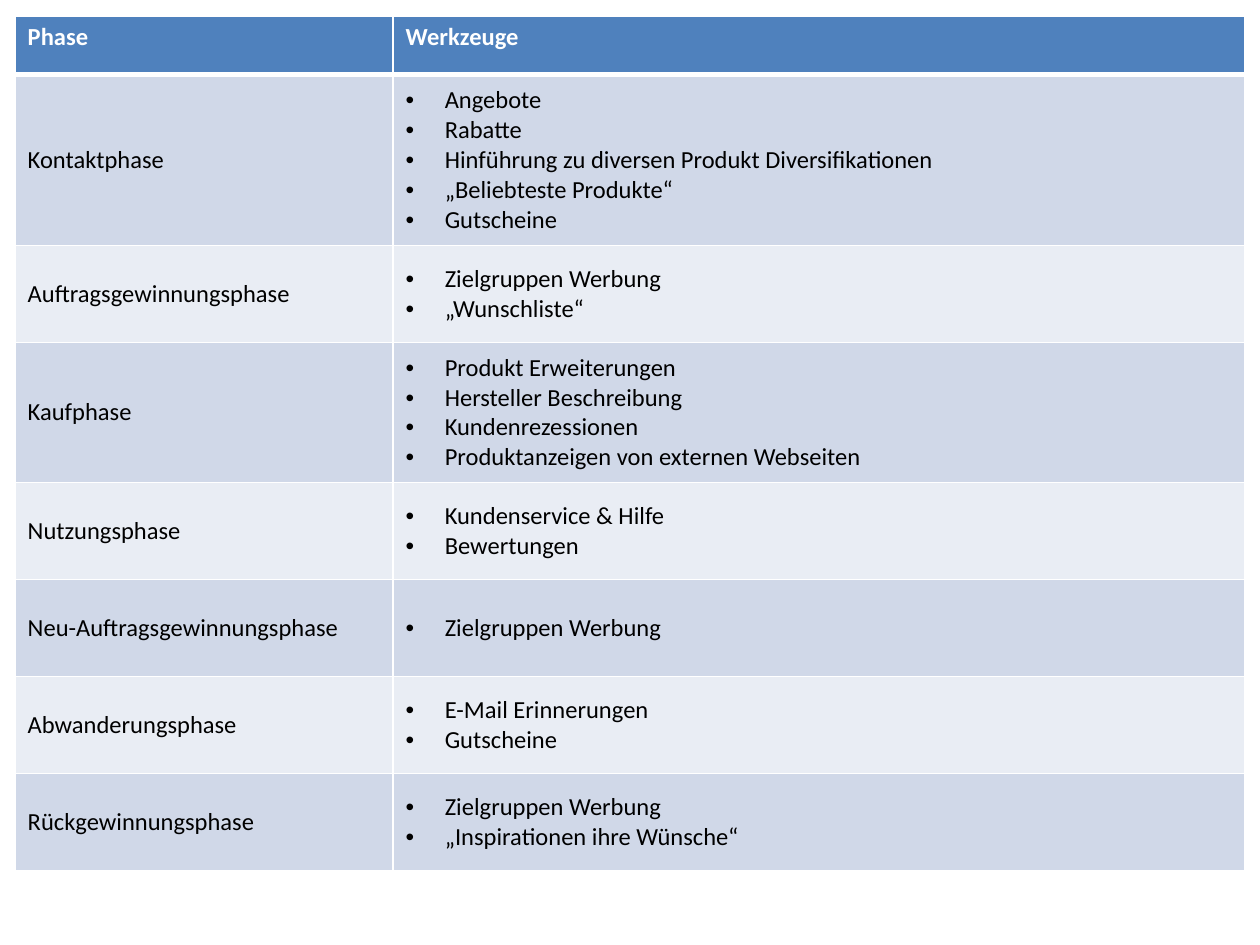
from dataclasses import dataclass

from pptx import Presentation
from pptx.dml.color import RGBColor
from pptx.enum.text import MSO_ANCHOR
from pptx.oxml.ns import qn
from pptx.util import Inches, Pt
from lxml.etree import SubElement

HEAD, DARK, LIGHT = "4F81BD", "D0D8E8", "E9EDF4"
WHITE, BLACK = "FFFFFF", "000000"
WIDTHS = (3, 6.76)
HEAD_HIGH = 0.46
INDENT = Inches(0.31)


@dataclass
class Phase:
    name: str
    tools: list[str]
    high: float = 0.77


PHASES = [
    Phase("Kontaktphase", [
        "Angebote", "Rabatte",
        "Hinführung zu diversen Produkt Diversifikationen",
        "„Beliebteste Produkte“", "Gutscheine"], 1.36),
    Phase("Auftragsgewinnungsphase", ["Zielgruppen Werbung", "„Wunschliste“"]),
    Phase("Kaufphase", [
        "Produkt Erweiterungen", "Hersteller Beschreibung",
        "Kundenrezessionen", "Produktanzeigen von externen Webseiten"], 1.11),
    Phase("Nutzungsphase", ["Kundenservice & Hilfe", "Bewertungen"]),
    Phase("Neu-Auftragsgewinnungsphase", ["Zielgruppen Werbung"]),
    Phase("Abwanderungsphase", ["E-Mail Erinnerungen", "Gutscheine"]),
    Phase("Rückgewinnungsphase", [
        "Zielgruppen Werbung", "„Inspirationen ihre Wünsche“"]),
]


def paint(target, color: str) -> None:
    """Give a fill a solid colour."""
    target.solid()
    target.fore_color.rgb = RGBColor.from_string(color)


def add_edges(cell, top: float = 1, bottom: float = 1) -> None:
    """Draw white borders; widths in points."""
    props = cell._tc.get_or_add_tcPr()
    for side, width in {"L": 1, "R": 1, "T": top, "B": bottom}.items():
        line = SubElement(props, qn(f"a:ln{side}"), w=str(Pt(width)))
        solid = SubElement(line, qn("a:solidFill"))
        SubElement(solid, qn("a:srgbClr"), val=WHITE)


def add_bullet(para) -> None:
    """Hang a round bullet before the paragraph."""
    props = para._p.get_or_add_pPr()
    props.set("marL", str(INDENT))
    props.set("indent", str(-INDENT))
    SubElement(props, qn("a:buFont"), typeface="Arial")
    SubElement(props, qn("a:buChar"), char="•")


def write(cell, lines: list[str], color: str, bold: bool = False,
          listed: bool = False) -> None:
    """Fill a cell with one paragraph a line."""
    style = {"name": "Calibri", "size": Pt(14), "bold": bold}
    frame = cell.text_frame
    for i, text in enumerate(lines):
        para = frame.add_paragraph() if i else frame.paragraphs[0]
        if listed:
            add_bullet(para)
        run = para.add_run()
        run.text = text
        for key, value in style.items():
            setattr(run.font, key, value)
        paint(run.font.fill, color)


def main() -> None:
    deck = Presentation()
    deck.slide_width, deck.slide_height = Inches(10), Inches(7.5)
    slide = deck.slides.add_slide(deck.slide_layouts[6])

    # Table grid
    highs = [HEAD_HIGH] + [phase.high for phase in PHASES]
    table = slide.shapes.add_table(
        len(highs), len(WIDTHS), Inches(0.12), Inches(0.13),
        Inches(sum(WIDTHS)), Inches(sum(highs))).table
    for col, width in zip(table.columns, WIDTHS):
        col.width = Inches(width)
    for row, high in zip(table.rows, highs):
        row.height = Inches(high)

    # Header row
    for cell, title in zip(table.rows[0].cells, ("Phase", "Werkzeuge")):
        add_edges(cell, bottom=3)
        paint(cell.fill, HEAD)
        write(cell, [title], WHITE, bold=True)

    # One banded row a phase
    for i, phase in enumerate(PHASES, 1):
        cells = table.rows[i].cells
        for cell in cells:
            add_edges(cell, top=3 if i == 1 else 1)
            paint(cell.fill, DARK if i % 2 else LIGHT)
            cell.vertical_anchor = MSO_ANCHOR.MIDDLE
        write(cells[0], [phase.name], BLACK)
        write(cells[1], phase.tools, BLACK, listed=True)

    deck.save("out.pptx")


if __name__ == "__main__":
    main()
